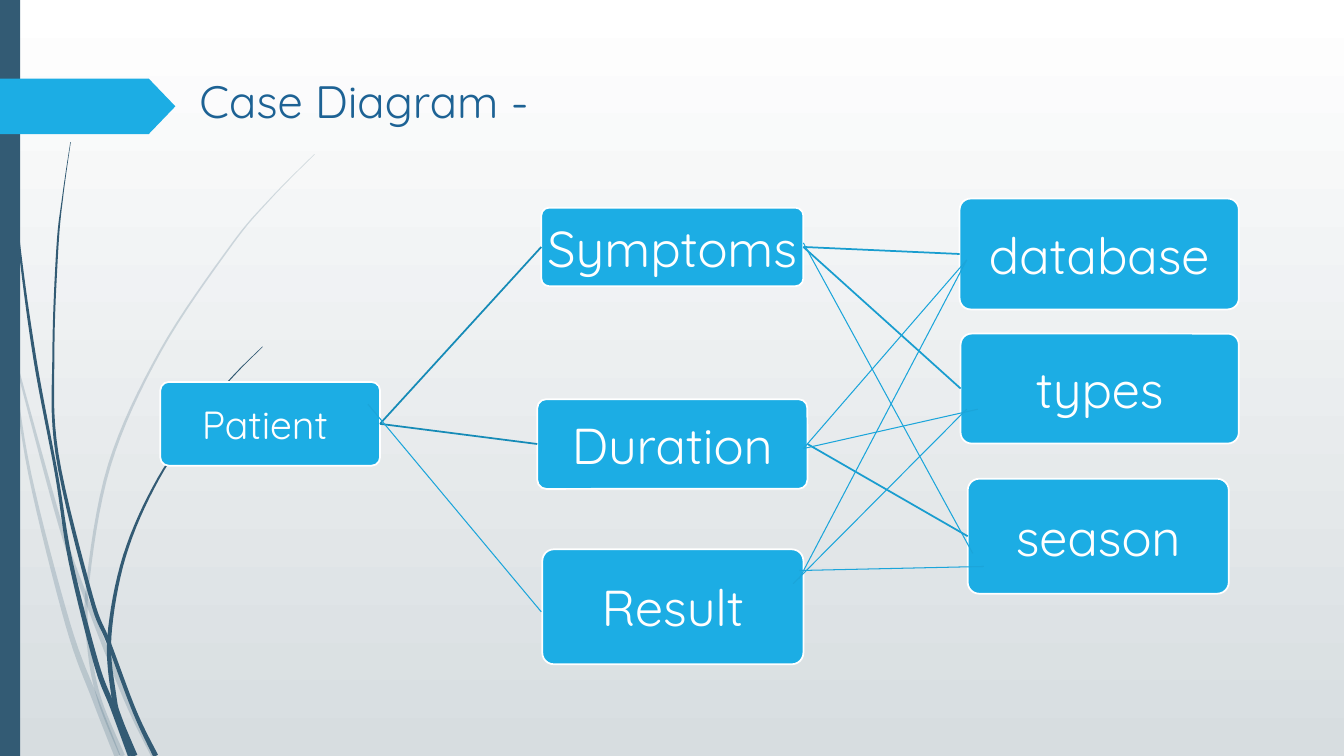
from math import hypot

from lxml import etree
from pptx import Presentation
from pptx.dml.color import RGBColor
from pptx.enum.shapes import MSO_CONNECTOR, MSO_SHAPE
from pptx.enum.text import MSO_ANCHOR, PP_ALIGN
from pptx.oxml.ns import qn
from pptx.util import Inches, Pt

RECT = MSO_SHAPE.RECTANGLE
ROUND = MSO_SHAPE.ROUNDED_RECTANGLE
ARROW = MSO_SHAPE.PENTAGON
LINE = MSO_CONNECTOR.STRAIGHT
MID, TOP = MSO_ANCHOR.MIDDLE, MSO_ANCHOR.TOP
LEFT, CENTER = PP_ALIGN.LEFT, PP_ALIGN.CENTER
RIGHT_SIDE, LEFT_SIDE = 3, 1

CELL = Inches(0.1)
COLS, ROWS = 133.33, 75
STEPS = 8


def color(text):
    return RGBColor.from_string(text)


def grid(*cells):
    return [round(cell * CELL) for cell in cells]


def spline(a, b, c, d, t):
    return (2 * b + (c - a) * t + (2 * a - 5 * b + 4 * c - d) * t ** 2
            + (3 * b - a - 3 * c + d) * t ** 3) / 2


def smooth(knots):
    ends = [knots[0], *knots, knots[-1]]
    points = [[spline(*axis, step / STEPS) for axis in zip(*ends[i:i + 4])]
              for i in range(len(knots) - 1) for step in range(STEPS)]
    return points + [knots[-1]]


class Slide:
    font = "Quicksand"
    dark, blue, white, ink = "335B74", "1CADE4", "FFFFFF", "1D6294"

    def __init__(self, deck):
        self.page = deck.slides.add_slide(deck.slide_layouts[6])
        self.shapes = self.page.shapes

    def back(self, first, last):
        fill = self.page.background.fill
        fill.gradient()
        fill.gradient_angle = 270
        for stop, tone in zip(fill.gradient_stops, (first, last)):
            stop.color.rgb = color(tone)

    def paint(self, shape, fill, edge=None):
        shape.shadow.inherit = False
        shape.fill.solid()
        shape.fill.fore_color.rgb = color(fill)
        if edge:
            shape.line.color.rgb = color(edge)
            shape.line.width = Pt(1.25)
        else:
            shape.line.fill.background()

    def block(self, kind, place, fill, edge=None, bend=None):
        shape = self.shapes.add_shape(kind, *grid(*place))
        self.paint(shape, fill, edge)
        if bend:
            shape.adjustments[0] = bend
        return shape

    def label(self, shape, text, size, tone, align, anchor, pad):
        frame = shape.text_frame
        frame.text = text
        frame.vertical_anchor = anchor
        frame.margin_left = frame.margin_right = Inches(pad)
        frame.margin_top = frame.margin_bottom = Inches(0.05)
        para = frame.paragraphs[0]
        para.alignment = align
        font = para.runs[0].font
        font.name, font.size = self.font, Pt(size)
        font.color.rgb = color(tone)
        return frame

    def title(self, text, place):
        box = self.shapes.add_textbox(*grid(*place))
        frame = self.label(box, text, 32.4, self.ink, LEFT, TOP, 0.1)
        frame.word_wrap = True

    def node(self, text, place, size):
        shape = self.block(ROUND, place, self.blue, self.white, 0.1)
        frame = self.label(shape, text, size, self.white, CENTER, MID, 0.03)
        frame.word_wrap = False
        return shape

    def line(self, place, tone, width):
        link = self.shapes.add_connector(LINE, *grid(*place))
        link.line.color.rgb = color(tone)
        link.line.width = Pt(width)
        etree.SubElement(link._element.spPr, qn("a:effectLst"))
        return link

    def join(self, start, end, tone):
        link = self.line((0, 0, 1, 1), tone, 1.25)
        link.begin_connect(start, RIGHT_SIDE)
        link.end_connect(end, LEFT_SIDE)

    def stalk(self, knots, alpha):
        points = smooth(knots)
        near, far = [], []
        for i, (x, y, wide) in enumerate(points):
            ahead, behind = points[min(i + 1, len(points) - 1)], points[max(i - 1, 0)]
            dx, dy = ahead[0] - behind[0], ahead[1] - behind[1]
            half = wide / 2 / hypot(dx, dy)
            near.append(grid(x - dy * half, y + dx * half))
            far.append(grid(x + dy * half, y - dx * half))
        edge = near + far[::-1]
        pen = self.shapes.build_freeform(*edge[0])
        pen.add_line_segments(edge[1:], close=True)
        shape = pen.convert_to_shape()
        self.paint(shape, self.dark)
        if alpha < 100:
            tone = shape._element.spPr.find(qn("a:solidFill"))[0]
            etree.SubElement(tone, qn("a:alpha"), val=str(alpha * 1000))


PALE = [
    [(0, 29, 0.3), (1.1, 35, 0.2), (2.95, 47, 0.3), (6.75, 62, 0.5),
     (9.5, 69.5, 0.6), (11.65, 75, 0.6)],
    [(1.6, 36, 0.2), (6, 52.1, 0.4), (8.6, 59.5, 0.4), (12.5, 69.3, 0.5),
     (15.25, 75, 0.5)],
    [(31.2, 15.3, 0.05), (26.8, 19.75, 0.1), (22.85, 24.45, 0.15),
     (15.9, 34.85, 0.2), (10.85, 46.15, 0.3), (8.65, 58.4, 0.3),
     (8.9, 64.6, 0.4), (9.9, 69.5, 0.4), (12.15, 75, 0.5)],
]
DEEP = [
    [(0.35, 0, 0.1), (0.75, 11, 0.15), (1.8, 23.3, 0.2), (3.45, 35.5, 0.3),
     (5.6, 47, 0.3), (7, 55.65, 0.4), (9.55, 65.8, 0.5), (11.2, 70.2, 0.5),
     (12.9, 75, 0.4)],
    [(7, 14.1, 0.05), (6.25, 19.3, 0.1), (5.7, 24.5, 0.2), (5.3, 34.9, 0.2),
     (5.65, 45, 0.3), (9, 59.1, 0.4), (10.8, 63.8, 0.4), (13.4, 70.7, 0.4),
     (15.45, 75, 0.5)],
    [(26.05, 34.4, 0.05), (23.1, 37.35, 0.1), (20.45, 40.55, 0.1),
     (15.7, 47.5, 0.2), (12.35, 55.15, 0.3), (10.85, 63.2, 0.4),
     (11.3, 69.1, 0.5), (11.9, 71.4, 0.5), (13.35, 75, 0.6)],
]
NODES = [
    ("Patient ", (15.9, 37.9, 21.8, 8.3), 28),
    ("Symptoms", (53.7, 20.6, 26, 7.8), 36),
    ("database", (95.2, 19.7, 27.7, 11), 36),
    ("types", (95.3, 33.1, 27.6, 10.9), 36),
    ("Duration", (53.3, 39.6, 26.8, 8.9), 36),
    ("season", (96, 47.5, 25.9, 11.4), 36),
    ("Result", (53.8, 54.5, 25.9, 11.4), 36),
]
JOINS = [
    ("Patient ", "Symptoms", "168BB7"),
    ("Patient ", "Duration", "168BB7"),
    ("Symptoms", "database", "199DCF"),
    ("Symptoms", "types", "199DCF"),
    ("Duration", "season", "199DCF"),
]
THIN = [
    (79.7, 24.1, 96.5, 54.9),
    (79.7, 44.5, 95.9, 25.8),
    (79.7, 44.5, 97, 40.6),
    (36.5, 40.1, 53.7, 60.7),
    (79.3, 56.6, 97.6, 56.2),
    (78.7, 57.9, 95.9, 40.6),
    (95.9, 25.8, 79.3, 57.4),
]


def main():
    deck = Presentation()
    deck.slide_width, deck.slide_height = grid(COLS, ROWS)
    slide = Slide(deck)
    slide.back("FFFFFF", "D7DDE0")
    for stalks, alpha in ((PALE, 20), (DEEP, 100)):
        for knots in stalks:
            slide.stalk(knots, alpha)
    slide.block(RECT, (0, 0, 2, ROWS), slide.dark)
    slide.block(ARROW, (0, 7.8, 17.4, 5.5), slide.blue, bend=0.48)
    slide.title("Case Diagram -", (18.8, 6.8, 107, 6.1))
    nodes = {text: slide.node(text, place, size) for text, place, size in NODES}
    for start, end, tone in JOINS:
        slide.join(nodes[start], nodes[end], tone)
    for place in THIN:
        slide.line(place, "1BA5DA", 0.75)
    deck.save("out.pptx")


if __name__ == "__main__":
    main()
